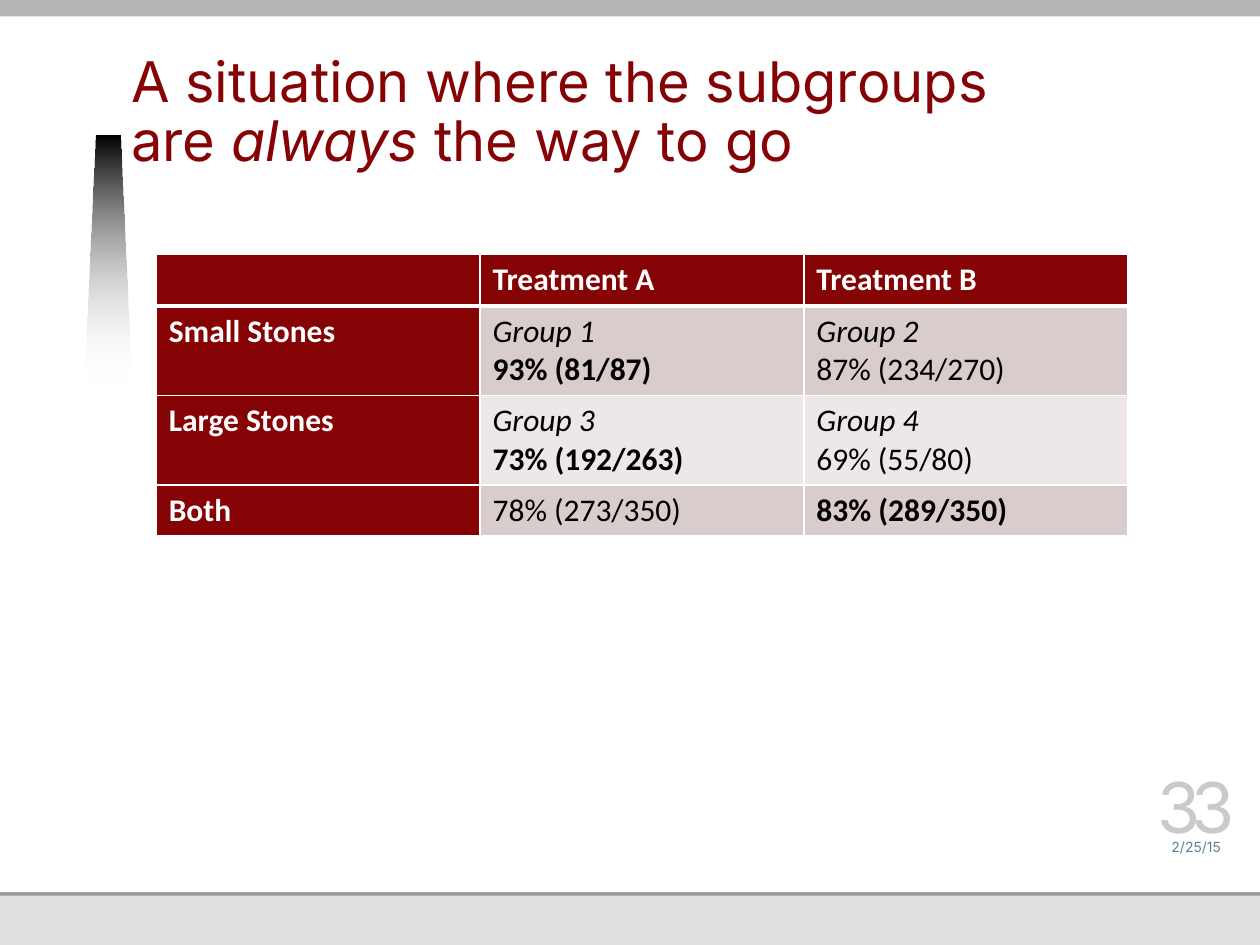
from dataclasses import dataclass

from lxml import etree
from pptx import Presentation
from pptx.dml.color import RGBColor
from pptx.enum import shapes, text
from pptx.oxml import ns
from pptx.util import Inches, Pt


@dataclass(frozen=True)
class Theme:
    accent: str = "850205"
    white: str = "FFFFFF"
    black: str = "000000"
    band_dark: str = "D9CCCC"
    band_light: str = "EDE7E7"
    top_bar: str = "B5B5B5"
    rule: str = "989898"
    footer: str = "DFDFDF"
    number: str = "CACACA"
    date: str = "618091"
    heading_font: str = "Inter"
    table_font: str = "Calibri"
    title_size: int = 32
    table_size: int = 18
    date_size: int = 8
    number_size: int = 40


THEME = Theme()

TITLE = [
    ("A situation where the subgroups ", ""),
    ("are ", ""),
    ("always ", "i"),
    ("the way to go", ""),
]
ROWS = [
    [[], [("Treatment A", "b")], [("Treatment B", "b")]],
    [[("Small Stones", "b")], [("Group 1", "i"), ("93% (81/87)", "b")],
     [("Group 2", "i"), ("87% (234/270)", "")]],
    [[("Large Stones", "b")], [("Group 3", "i"), ("73% (192/263)", "b")],
     [("Group 4", "i"), ("69% (55/80)", "")]],
    [[("Both", "b")], [("78% (273/350)", "")], [("83% (289/350)", "b")]],
]
ROW_HEIGHTS = [0.41, 0.71, 0.71, 0.4]
COLUMN_WIDTH = 2.57
PANELS = [
    (0, 7.5, THEME.footer),
    (1.78, 5.33, THEME.rule),
    (0, 7.08, THEME.white),
    (0, 0.13, THEME.top_bar),
]
WEDGE = [(0.67, 3.05), (0.76, 1.08), (0.95, 1.08), (1.04, 3.05)]


def color(value):
    return RGBColor.from_string(value)


def add_span(para, content, *, font, size, fill, style="", spacing=None):
    span = para.add_run()
    span.text = content
    span.font.name = font
    span.font.size = Pt(size)
    span.font.color.rgb = color(fill)
    span.font.bold = "b" in style
    span.font.italic = "i" in style
    if spacing is not None:
        span.font._element.set("spc", str(spacing * 100))


def add_text(page, spans, *, at, size, fill, align=text.PP_ALIGN.LEFT,
             bottom=0, line=None, spacing=None):
    box = page.shapes.add_textbox(*map(Inches, at))
    frame = box.text_frame
    frame.word_wrap = True
    frame.vertical_anchor = text.MSO_ANCHOR.BOTTOM
    frame.margin_left = frame.margin_right = frame.margin_top = 0
    frame.margin_bottom = Inches(bottom)
    para = frame.paragraphs[0]
    para.alignment = align
    if line:
        para.line_spacing = Pt(line)
    for content, style in spans:
        add_span(para, content, font=THEME.heading_font, size=size,
                 fill=fill, style=style, spacing=spacing)


def add_panel(page, top, height, fill):
    panel = page.shapes.add_shape(shapes.MSO_SHAPE.RECTANGLE, 0, Inches(top),
                                  Inches(10), Inches(height))
    panel.shadow.inherit = False
    panel.fill.solid()
    panel.fill.fore_color.rgb = color(fill)
    panel.line.fill.background()


def add_wedge(page):
    points = [(Inches(x), Inches(y)) for x, y in WEDGE]
    builder = page.shapes.build_freeform(*points[0])
    builder.add_line_segments(points[1:], close=True)
    wedge = builder.convert_to_shape()
    wedge.shadow.inherit = False
    wedge.line.fill.background()
    wedge.fill.gradient()
    wedge.fill.gradient_angle = 270
    for stop, shade in zip(wedge.fill.gradient_stops, (THEME.black, THEME.white)):
        stop.color.rgb = color(shade)
    last = wedge._element.findall(".//" + ns.qn("a:srgbClr"))[-1]
    etree.SubElement(last, ns.qn("a:alpha"), val="0")


def add_borders(cell, widths):
    properties = cell._tc.get_or_add_tcPr()
    for side, width in widths.items():
        line = etree.SubElement(properties, ns.qn("a:ln" + side), w=str(Pt(width)))
        solid = etree.SubElement(line, ns.qn("a:solidFill"))
        etree.SubElement(solid, ns.qn("a:srgbClr"), val=THEME.white)


def add_results(page):
    columns = len(ROWS[0])
    table = page.shapes.add_table(
        len(ROWS), columns, Inches(1.24), Inches(2.02),
        Inches(COLUMN_WIDTH * columns), Inches(sum(ROW_HEIGHTS))).table
    for column in table.columns:
        column.width = Inches(COLUMN_WIDTH)
    for r, (row, height) in enumerate(zip(ROWS, ROW_HEIGHTS)):
        table.rows[r].height = Inches(height)
        for c, lines in enumerate(row):
            cell = table.cell(r, c)
            heading = r == 0 or c == 0
            band = THEME.band_dark if r % 2 else THEME.band_light
            add_borders(cell, {"L": 1, "R": 1, "T": 3 if r == 1 else 1,
                               "B": 3 if r == 0 else 1})
            cell.fill.solid()
            cell.fill.fore_color.rgb = color(THEME.accent if heading else band)
            frame = cell.text_frame
            for i, (content, style) in enumerate(lines):
                para = frame.add_paragraph() if i else frame.paragraphs[0]
                add_span(para, content, font=THEME.table_font,
                         size=THEME.table_size, style=style,
                         fill=THEME.white if heading else THEME.black)


def main():
    deck = Presentation()
    deck.slide_width, deck.slide_height = Inches(10), Inches(7.5)
    page = deck.slides.add_slide(deck.slide_layouts[6])
    for panel in PANELS:
        add_panel(page, *panel)
    add_wedge(page)
    add_text(page, TITLE, at=(1.04, 0.34, 6.87, 1.08), size=THEME.title_size,
             fill=THEME.accent, bottom=0.05, line=34)
    add_results(page)
    add_text(page, [("2/25/15", "")], at=(9.13, 6.57, 0.73, 0.22),
             size=THEME.date_size, fill=THEME.date, align=text.PP_ALIGN.CENTER)
    add_text(page, [("33", "")], at=(9.13, 6.17, 0.73, 0.56),
             size=THEME.number_size, fill=THEME.number,
             align=text.PP_ALIGN.CENTER, spacing=-5)
    deck.save("out.pptx")


if __name__ == "__main__":
    main()
